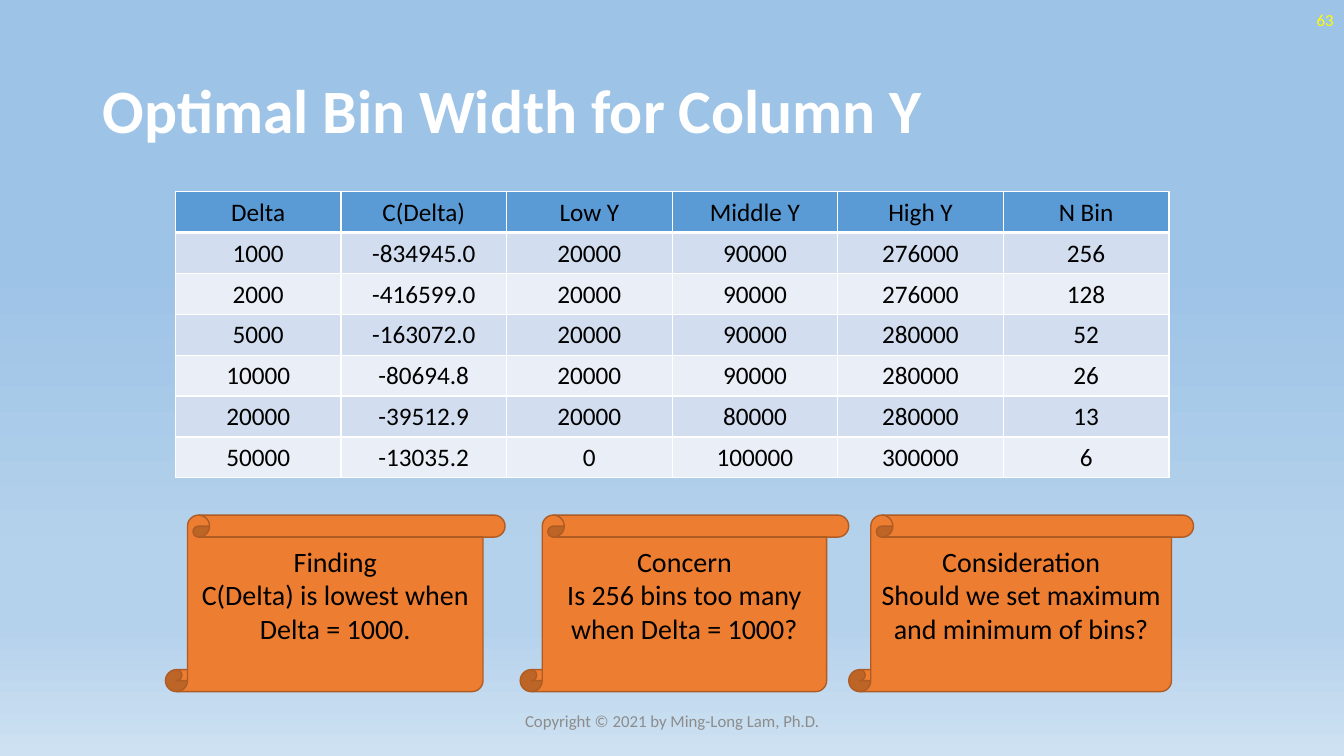
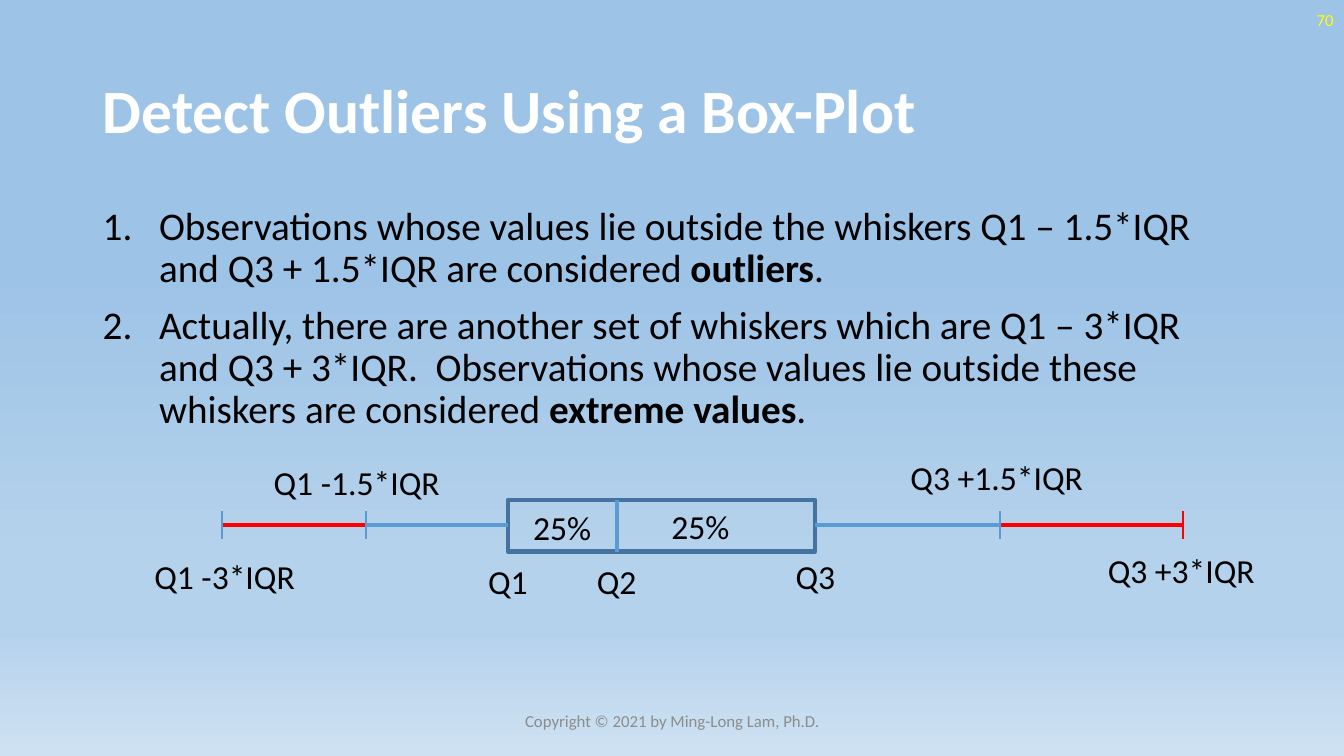
from lxml import etree
from pptx import Presentation
from pptx import util as u
from pptx.dml.color import RGBColor
from pptx.enum import shapes, text
from pptx.oxml.ns import qn

Cm, Pt = u.Cm, u.Pt
FONT = "Calibri"
COLORS = {
    "title": "FFFFFF", "number": "FFFF00", "footer": "8C8C8C", "text": "000000",
    "header": "5B9BD5", "band_dark": "D2DEEF", "band_light": "EAEFF7", "grid": "FFFFFF",
    "scroll": "ED7D31", "scroll_line": "AF5C24",
    "box_line": "43739E", "whisker": "5B9BD5", "extreme": "FF0000",
}
BACKGROUND = [(35, "9DC3E6"), (74, "B5D2EC"), (83, "B5D2EC"), (100, "CEE1F2")]
FOOTER = "Copyright © 2021 by Ming-Long Lam, Ph.D."
LEFT, CENTER, RIGHT = text.PP_ALIGN.LEFT, text.PP_ALIGN.CENTER, text.PP_ALIGN.RIGHT
TOP, MIDDLE, BOTTOM = (text.MSO_ANCHOR.TOP, text.MSO_ANCHOR.MIDDLE,
                       text.MSO_ANCHOR.BOTTOM)


def rgb(name):
    return RGBColor.from_string(COLORS[name])


def cm(*values):
    return [Cm(v) for v in values]


def format_text(tf, size, color="text", bold=False, align=CENTER):
    for p in tf.paragraphs:
        p.alignment = align
        for r in p.runs:
            r.font.name, r.font.size, r.font.bold = FONT, Pt(size), bold
            r.font.color.rgb = rgb(color)


def add_text(s, box, words, size, color="text", bold=False, align=CENTER, anchor=TOP):
    tf = s.shapes.add_textbox(*cm(*box)).text_frame
    tf.word_wrap = True
    tf.vertical_anchor = anchor
    tf.text = words
    format_text(tf, size, color, bold, align)
    return tf


def add_line(s, x1, y1, x2, y2, color, width):
    ln = s.shapes.add_connector(shapes.MSO_CONNECTOR.STRAIGHT, *cm(x1, y1, x2, y2))
    ln.line.color.rgb, ln.line.width = rgb(color), Pt(width)
    etree.SubElement(ln._element.spPr, qn("a:effectLst"))


def set_background(s):
    fill = s.background.fill
    fill.gradient()
    fill.gradient_angle = 270
    stops = s._element.find(".//" + qn("a:gsLst"))
    for stop in list(stops):
        stops.remove(stop)
    for pos, color in BACKGROUND:
        stop = etree.SubElement(stops, qn("a:gs"), pos=str(pos * 1000))
        etree.SubElement(stop, qn("a:srgbClr"), val=color)


def add_slide(prs, title, number):
    """Add a slide with the shared background, title, number and footer."""
    s = prs.slides.add_slide(prs.slide_layouts[6])
    set_background(s)
    tf = add_text(s, (2.34, 1.02, 29.21, 3.68), title, 44, "title", True, LEFT, MIDDLE)
    tf.paragraphs[0].line_spacing = 0.9
    add_text(s, (26.24, 0, 7.62, 1.02), str(number), 12, "number", align=RIGHT,
             anchor=MIDDLE)
    add_text(s, (11.23, 17.65, 11.43, 1.02), FOOTER, 12, "footer", anchor=MIDDLE)
    return s


def set_borders(cell, **widths):
    tc_pr = cell._tc.get_or_add_tcPr()
    for side in "LRTB":
        ln = etree.SubElement(tc_pr, qn("a:ln" + side), w=str(Pt(widths.get(side, 1))))
        fill = etree.SubElement(ln, qn("a:solidFill"))
        etree.SubElement(fill, qn("a:srgbClr"), val=COLORS["grid"])


def add_bin_table(s, box, rows):
    left, top, width, height = box
    table = s.shapes.add_table(len(rows), len(rows[0]), *cm(*box)).table
    for col in table.columns:
        col.width = Cm(width / len(rows[0]))
    for i, values in enumerate(rows):
        table.rows[i].height = Cm(height / len(rows))
        color = "header" if i == 0 else "band_dark" if i % 2 else "band_light"
        thick = {0: {"B": 3}, 1: {"T": 3}}.get(i, {})
        for j, value in enumerate(values):
            cell = table.cell(i, j)
            cell.text = value
            format_text(cell.text_frame, 18)
            cell.vertical_anchor = MIDDLE
            cell.margin_left = cell.margin_right = cell.margin_top = Cm(0.03)
            cell.margin_bottom = 0
            set_borders(cell, **thick)
            cell.fill.solid()
            cell.fill.fore_color.rgb = rgb(color)


def add_scroll(s, box, heading, words):
    sp = s.shapes.add_shape(shapes.MSO_SHAPE.VERTICAL_SCROLL, *cm(*box))
    sp.shadow.inherit = False
    sp.fill.solid()
    sp.fill.fore_color.rgb = rgb("scroll")
    sp.line.color.rgb, sp.line.width = rgb("scroll_line"), Pt(1)
    tf = sp.text_frame
    tf.word_wrap = True
    tf.vertical_anchor = BOTTOM
    tf.margin_bottom = Cm(0.9)
    tf.text = f"{heading}\n{words}"
    format_text(tf, 20)


def add_numbered_list(s, box, items):
    """Each item is a list of (words, bold) runs."""
    tf = add_text(s, box, "", 28)
    for i, item in enumerate(items):
        p = tf.add_paragraph() if i else tf.paragraphs[0]
        p.line_spacing = 0.9
        p.space_before = Pt(10 if i else 0)
        p_pr = p._p.get_or_add_pPr()
        p_pr.set("marL", str(Cm(1.42)))
        p_pr.set("indent", str(Cm(-1.42)))
        etree.SubElement(p_pr, qn("a:buFont"), typeface="+mj-lt")
        etree.SubElement(p_pr, qn("a:buAutoNum"), type="arabicPeriod")
        for words, _ in item:
            p.add_run().text = words
    format_text(tf, 28, align=LEFT)
    for p, item in zip(tf.paragraphs, items):
        for r, (_, bold) in zip(p.runs, item):
            r.font.bold = bold


def add_box_plot(s, left, top):
    low3, low15, q1, q2, q3, high15, high3 = [
        left + dx for dx in (0, 3.63, 7.21, 9.95, 14.96, 19.61, 24.23)]
    axis, box_top, box_height = top + 1.85, top + 1.22, 1.3

    sp = s.shapes.add_shape(shapes.MSO_SHAPE.RECTANGLE,
                            *cm(q1, box_top, q3 - q1, box_height))
    sp.shadow.inherit = False
    sp.fill.background()
    sp.line.color.rgb, sp.line.width = rgb("box_line"), Pt(3)
    add_line(s, q2, box_top, q2, box_top + box_height, "whisker", 3)

    for x1, x2, color in [(low3, low15, "extreme"), (low15, q1, "whisker"),
                          (q3, high15, "whisker"), (high15, high3, "extreme")]:
        add_line(s, x1, axis, x2, axis, color, 2.25)
    for x, color in [(low3, "whisker"), (low15, "whisker"),
                     (high15, "whisker"), (high3, "extreme")]:
        add_line(s, x, axis - 0.35, x, axis + 0.35, color, 1.5)

    labels = [
        ("Q1", q1, 2.62, 1.7), ("Q2", q2, 2.62, 1.7), ("Q3", q3, 2.51, 1.7),
        ("25%", (q1 + q2) / 2, 1.27, 2.29), ("25%", q2 + 2.11, 1.24, 2.29),
        ("Q1 -1.5*IQR", low15 - 0.23, 0.13, 5.33),
        ("Q3 +1.5*IQR", high15 - 0.08, 0, 5.33),
        ("Q1 -3*IQR", low3 + 0.07, 2.51, 5.33),
        ("Q3 +3*IQR", high3 - 0.05, 2.36, 5.33),
    ]
    for words, center, dy, width in labels:
        add_text(s, (center - width / 2, top + dy, width, 1.27), words, 24)


def bin_width_slide(prs):
    s = add_slide(prs, "Optimal Bin Width for Column Y", 63)
    add_bin_table(s, (4.42, 4.83, 25.04, 7.21), [
        ("Delta", "C(Delta)", "Low Y", "Middle Y", "High Y", "N Bin"),
        ("1000", "-834945.0", "20000", "90000", "276000", "256"),
        ("2000", "-416599.0", "20000", "90000", "276000", "128"),
        ("5000", "-163072.0", "20000", "90000", "280000", "52"),
        ("10000", "-80694.8", "20000", "90000", "280000", "26"),
        ("20000", "-39512.9", "20000", "80000", "280000", "13"),
        ("50000", "-13035.2", "0", "100000", "300000", "6"),
    ])
    for left, width, heading, words in [
        (4.17, 8.56, "Finding", "C(Delta) is lowest when Delta = 1000."),
        (13.11, 8.28, "Concern", "Is 256 bins too many when Delta = 1000?"),
        (21.39, 8.69, "Consideration", "Should we set maximum and minimum of bins?"),
    ]:
        add_scroll(s, (left, 12.98, width, 4.45), heading, words)


def box_plot_slide(prs):
    s = add_slide(prs, "Detect Outliers Using a Box-Plot", 70)
    add_numbered_list(s, (2.34, 5.08, 29.21, 12.09), [
        [("Observations whose values lie outside the whiskers Q1 – 1.5*IQR and "
          "Q3 + 1.5*IQR are considered ", False), ("outliers", True), (".", False)],
        [("Actually, there are another set of whiskers which are Q1 – 3*IQR and "
          "Q3 + 3*IQR.  Observations whose values lie outside these whiskers are "
          "considered ", False), ("extreme values", True), (".", False)],
    ])
    add_box_plot(s, 5.59, 11.38)


def main():
    prs = Presentation()
    prs.slide_width, prs.slide_height = cm(33.87, 19.05)
    bin_width_slide(prs)
    box_plot_slide(prs)
    prs.save("out.pptx")


if __name__ == "__main__":
    main()
